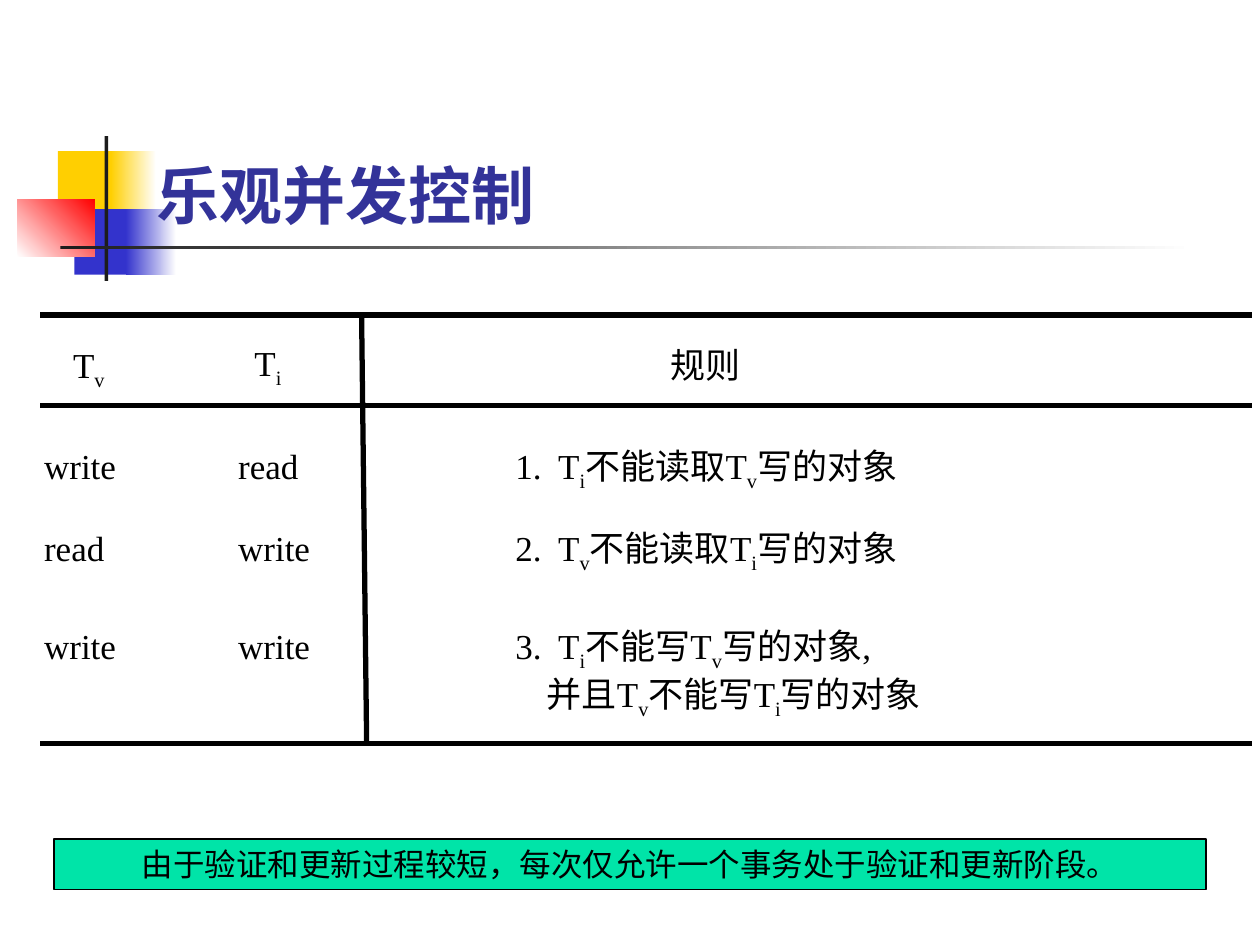
from dataclasses import dataclass

from lxml.etree import SubElement as Sub
from pptx import Presentation as Deck
from pptx.dml.color import RGBColor as Rgb
from pptx.enum.shapes import MSO_CONNECTOR as Link, MSO_SHAPE as Kind
from pptx.enum.text import MSO_ANCHOR as Anchor, PP_ALIGN as Align
from pptx.oxml.ns import qn
from pptx.util import Inches, Pt


@dataclass(frozen=True)
class Theme:
    """Colours, fonts and sizes of the slide."""
    white: str = "FFFFFF"
    black: str = "000000"
    dark: str = "1C1C1C"
    gold: str = "FFCF01"
    blue: str = "3333CC"
    red: str = "FF0000"
    navy: str = "333399"
    mint: str = "00E4A8"
    serif: str = "Times New Roman"
    note: str = "Karla"
    han: str = "Noto Sans CJK JP"
    head: int = 36
    body: int = 20
    small: int = 18
    rule: int = 3
    edge: int = 1


T = Theme()
HEAD = {"size": Pt(T.head), "name": T.han, "bold": True}
BODY = {"size": Pt(T.body), "name": T.serif}
NOTE = {"size": Pt(T.small), "name": T.note}
FLAT = dict.fromkeys(
    ("margin_left", "margin_top", "margin_right", "margin_bottom"), 0)


def apply(item, values):
    """Set each named value on an item."""
    for name, value in values.items():
        setattr(item, name, value)


def write(par, text, font, color=T.black):
    """Fill a paragraph; the letter after an underscore is a subscript."""
    first, *rest = text.split("_")
    parts = [(first, False)]
    for part in rest:
        parts += [(part[0], True), (part[1:], False)]
    for words, low in parts:
        if not words:
            continue
        run = par.add_run()
        run.text = words
        apply(run.font, font)
        run.font.color.rgb = Rgb.from_string(color)
        props = run._r.get_or_add_rPr()
        Sub(props, qn("a:ea"), typeface=T.han)
        if low:
            props.set("baseline", "-25000")


def label(slide, box, lines, font=BODY, color=T.black, frame=FLAT):
    """Add a text box of (text, left margin, first indent) lines."""
    body = slide.shapes.add_textbox(*map(Inches, box)).text_frame
    apply(body, {"word_wrap": True, **frame})
    for i, (text, left, first) in enumerate(lines):
        par = body.add_paragraph() if i else body.paragraphs[0]
        props = par._p.get_or_add_pPr()
        props.set("marL", str(Inches(left)))
        props.set("indent", str(Inches(first)))
        write(par, text, font, color)


def block(slide, box, color, fade=None, angle=0):
    """Add a plain rectangle, solid or fading to a second colour."""
    shape = slide.shapes.add_shape(Kind.RECTANGLE, *map(Inches, box))
    shape.shadow.inherit = False
    shape.line.fill.background()
    if fade:
        shape.fill.gradient()
        shape.fill.gradient_angle = angle
        for stop, tone in zip(shape.fill.gradient_stops, (color, fade)):
            stop.color.rgb = Rgb.from_string(tone)
    else:
        shape.fill.solid()
        shape.fill.fore_color.rgb = Rgb.from_string(color)
    return shape


def rule(slide, *ends):
    """Add a thick black line."""
    line = slide.shapes.add_connector(Link.STRAIGHT, *map(Inches, ends))
    line.line.color.rgb = Rgb.from_string(T.black)
    line.line.width = Pt(T.rule)
    Sub(line._element.spPr, qn("a:effectLst"))


def motif(slide):
    """Draw the coloured squares and bars beside the title."""
    block(slide, (0.46, 1.2, 0.48, 0.52), T.gold)
    block(slide, (0.88, 1.2, 0.36, 0.52), T.gold, T.white)
    block(slide, (0.59, 1.66, 0.46, 0.52), T.blue)
    block(slide, (1, 1.66, 0.4, 0.52), T.blue, T.white)
    block(slide, (0.14, 1.58, 0.61, 0.46), T.white, T.red, 45)
    block(slide, (0.83, 1.08, 0.03, 1.15), T.dark)
    block(slide, (0.48, 1.95, 9, 0.03), T.dark, T.white)


def grid(slide):
    """Lay out the rule table."""
    heads = ((0.58, 2.73, "T_v"), (2.02, 2.71, "T_i"), (5.32, 2.73, "规则"))
    for left, top, text in heads:
        label(slide, (left, top, 0.6, 0.38), [(text, 0, 0)])
    rows = (
        (3.53, "write", "read", ["1.\tT_i不能读取T_v写的对象"]),
        (4.18, "read", "write", ["2.\tT_v不能读取T_i写的对象"]),
        (4.96, "write", "write",
         ["3.\tT_i不能写T_v写的对象,", "并且T_v不能写T_i写的对象"]),
    )
    for top, one, two, lines in rows:
        for left, text in ((0.35, one), (1.89, two)):
            label(slide, (left, top, 0.6, 0.33), [(text, 0, 0)])
        pars = [(text, 0.25, 0) if i else (text, 0.34, -0.34)
                for i, text in enumerate(lines)]
        label(slide, (4.09, top, 3.6, 0.38 * len(lines)), pars)
    for top in (2.5, 3.22, 5.9):
        rule(slide, 0.32, top, 9.94, top)
    rule(slide, 2.87, 2.49, 2.91, 5.9)


def banner(slide, text):
    """Add the outlined note at the foot."""
    shape = block(slide, (0.43, 6.66, 9.14, 0.4), T.mint)
    shape.line.color.rgb = Rgb.from_string(T.black)
    shape.line.width = Pt(T.edge)
    body = shape.text_frame
    apply(body, {"word_wrap": True, "vertical_anchor": Anchor.MIDDLE})
    body.paragraphs[0].alignment = Align.CENTER
    write(body.paragraphs[0], text, NOTE)


def main():
    """Build and save the slide."""
    deck = Deck()
    apply(deck, {"slide_width": Inches(10), "slide_height": Inches(7.5)})
    slide = deck.slides.add_slide(deck.slide_layouts[6])
    motif(slide)
    label(slide, (1.14, 0.91, 7.4, 0.98), [("乐观并发控制", 0, 0)],
          HEAD, T.navy, {"vertical_anchor": Anchor.BOTTOM})
    grid(slide)
    banner(slide, "由于验证和更新过程较短，每次仅允许一个事务处于验证和更新阶段。")
    deck.save("out.pptx")


if __name__ == "__main__":
    main()
